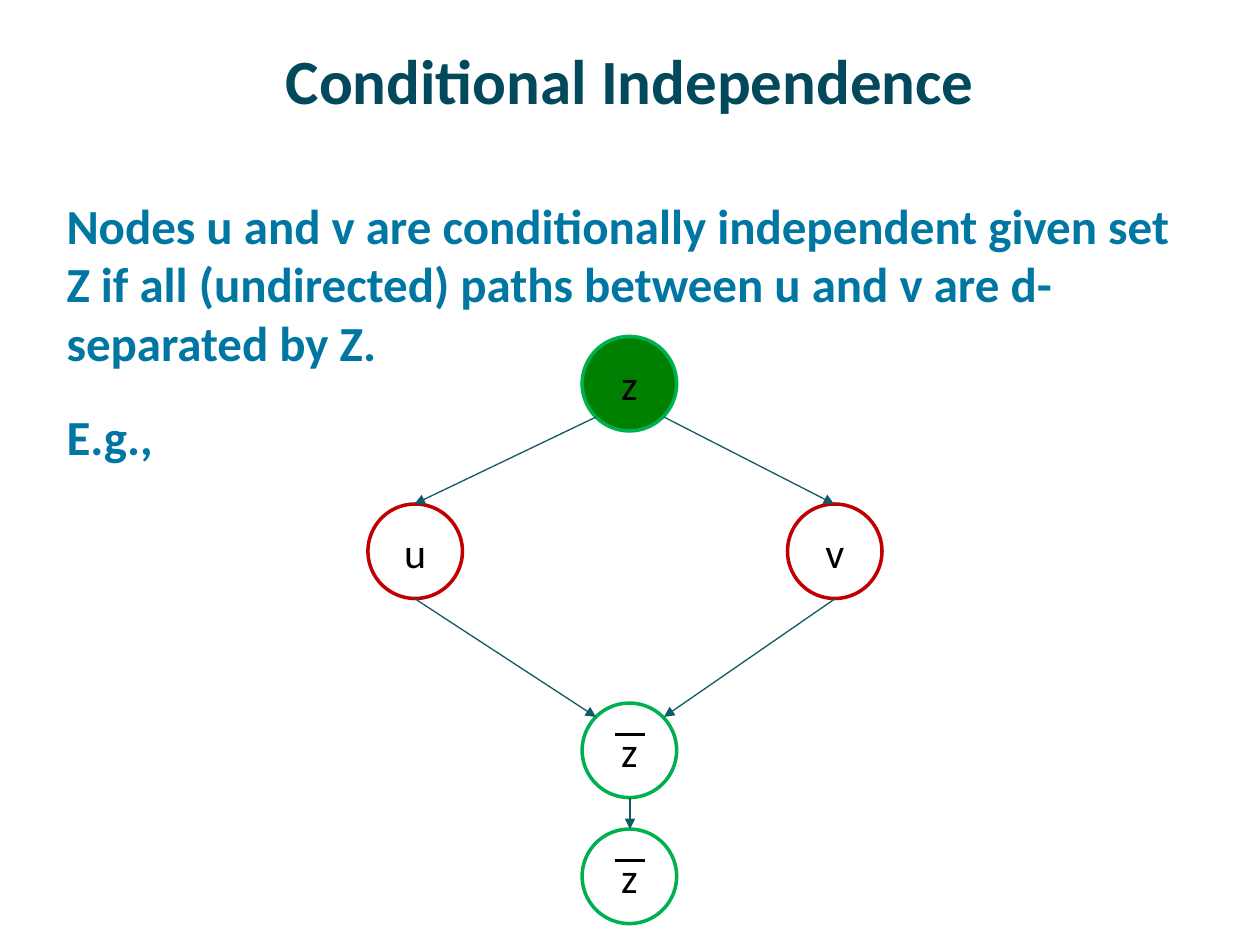
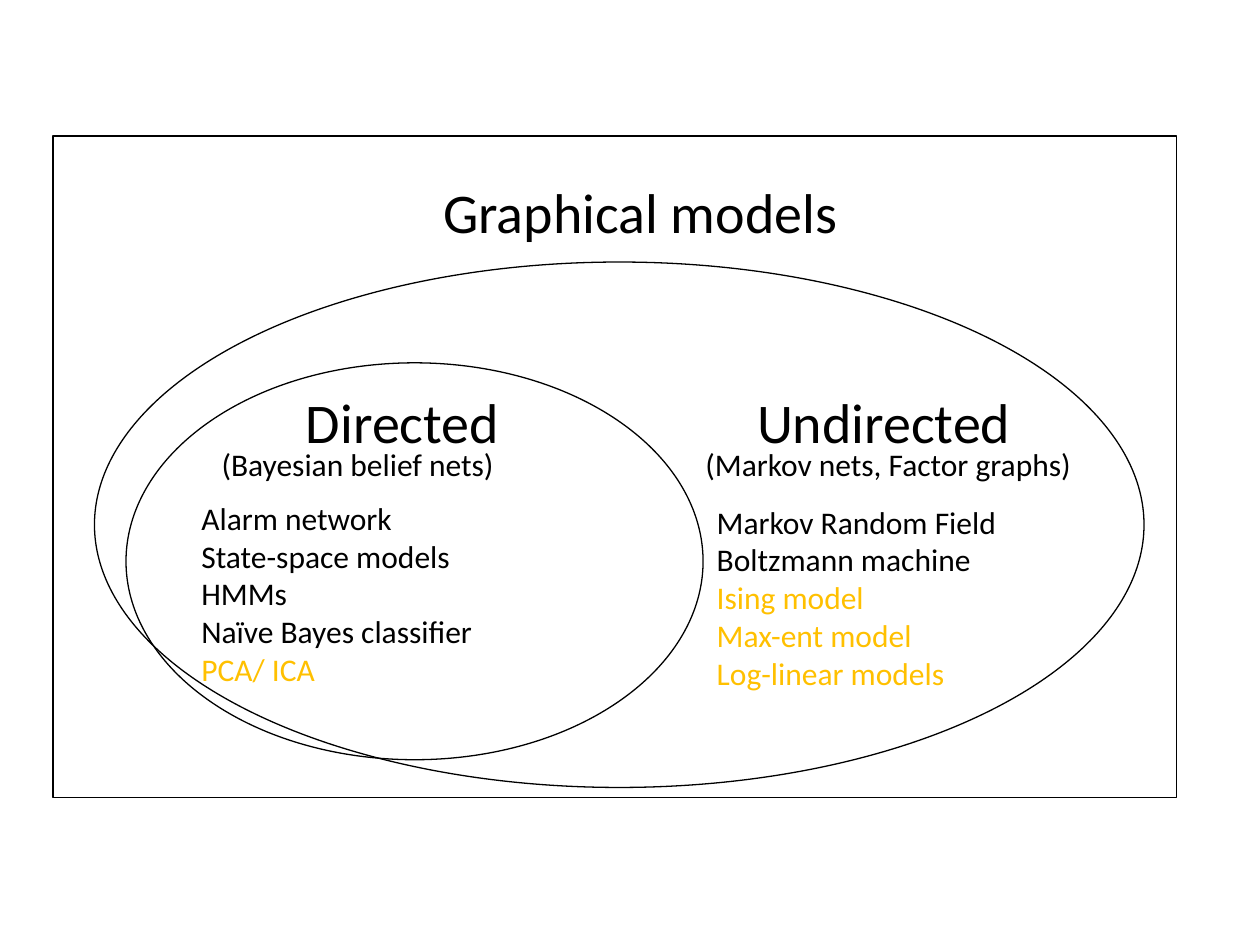
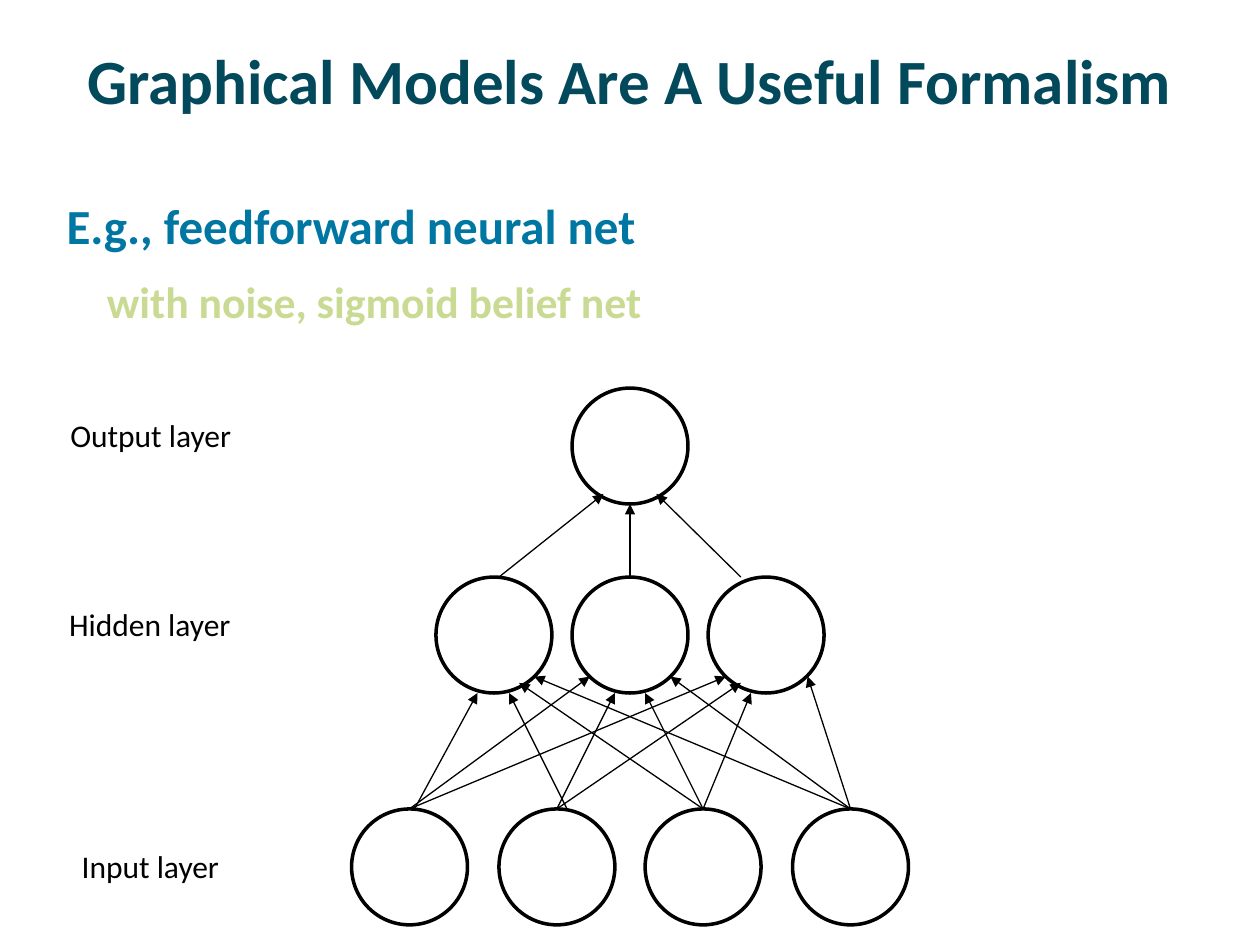
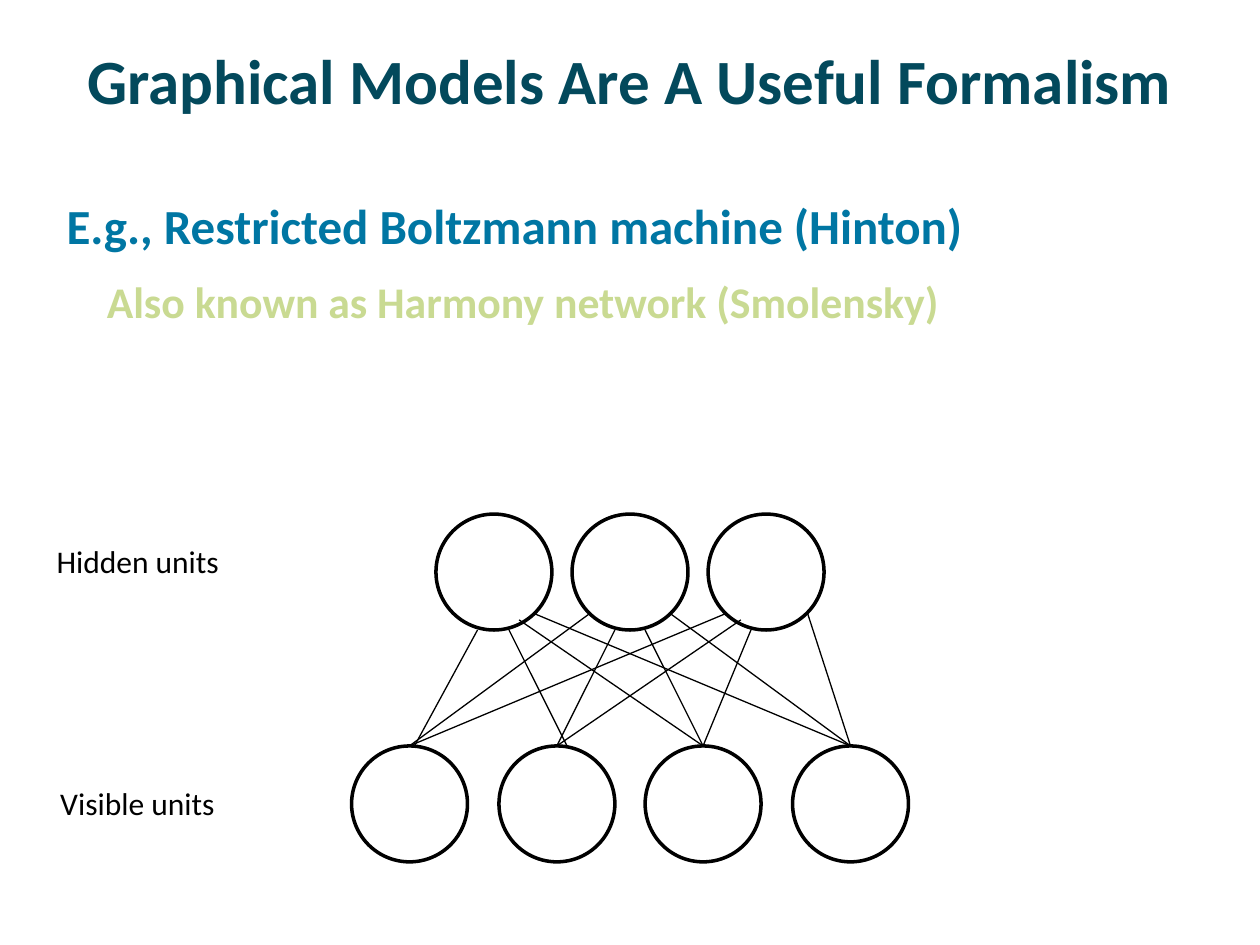
from lxml import etree
from pptx import Presentation
from pptx.dml.color import RGBColor
from pptx.enum.shapes import MSO_CONNECTOR, MSO_SHAPE
from pptx.enum.text import MSO_ANCHOR, MSO_AUTO_SIZE, PP_ALIGN
from pptx.oxml.ns import qn
from pptx.util import Pt

PX = 9144  # 100 px to the inch
FONT = "Calibri"
OVAL, RECT = MSO_SHAPE.OVAL, MSO_SHAPE.RECTANGLE
STRAIGHT = MSO_CONNECTOR.STRAIGHT
MID, TOP = MSO_ANCHOR.MIDDLE, MSO_ANCHOR.TOP
LEFT, CENTER = PP_ALIGN.LEFT, PP_ALIGN.CENTER
FIXED = MSO_AUTO_SIZE.NONE
INK = {name: RGBColor.from_string(code) for name, code in {
    "title": "03495C", "body": "0076A3", "sub": "C9DA92", "black": "000000",
    "red": "C00000", "green": "00B050", "given": "008000", "arrow": "115964",
    "gold": "FFC000"}.items()}

TITLE = dict(size=36, ink="title", bold=True, align=CENTER, anchor=MID, wrap=True)
BODY = dict(size=28, ink="body", bold=True, wrap=True, indent=10)
SUB = dict(size=25, ink="sub", indent=42, gap=11.9)
TITLE_BOX = (50, 17, 900, 92)
BODY_BOX = (33, 150, 917, 520)


def put(slide, box, lines=(), kind=None, edge="black", width=0.75, fill=None,
        anchor=TOP, wrap=False, **style):
    """Place a title, text box or shape; a line is text or (text, format)."""
    place = [n * PX for n in box]
    if kind == "title":
        item = slide.shapes.title
        item.left, item.top, item.width, item.height = place
    elif kind is None:
        item = slide.shapes.add_textbox(*place)
    else:
        item = slide.shapes.add_shape(kind, *place)
        item.shadow.inherit = False
        item.line.color.rgb = INK[edge]
        item.line.width = Pt(width)
        if fill:
            item.fill.solid()
            item.fill.fore_color.rgb = INK[fill]
        else:
            item.fill.background()
    frame = item.text_frame
    frame.auto_size = FIXED
    frame.word_wrap = wrap
    frame.vertical_anchor = anchor
    for i, line in enumerate(lines):
        text, extra = (line, {}) if isinstance(line, str) else line
        look = {"size": 18, "ink": "black", "bold": False, "align": LEFT,
                "indent": 0, "gap": 0, **style, **extra}
        para = frame.add_paragraph() if i else frame.paragraphs[0]
        para.alignment = look["align"]
        para.space_before = Pt(look["gap"] if i else 0)
        props = para._p.get_or_add_pPr()
        props.set("marL", str(look["indent"] * PX))
        props.set("indent", "0")
        run = para.add_run()
        run.text = text
        run.font.name, run.font.size = FONT, Pt(look["size"])
        run.font.bold = look["bold"]
        run.font.color.rgb = INK[look["ink"]]


def link(slide, ends, ink="black", width=0.75, arrow=True):
    """Draw a straight line, with an arrowhead at its end if asked."""
    wire = slide.shapes.add_connector(STRAIGHT, *[n * PX for n in ends])
    wire.line.color.rgb = INK[ink]
    wire.line.width = Pt(width)
    if arrow:
        etree.SubElement(wire.line._get_or_add_ln(), qn("a:tailEnd"), type="triangle")
    etree.SubElement(wire._element.spPr, qn("a:effectLst"))


deck = Presentation()
deck.slide_width, deck.slide_height = 1000 * PX, 750 * PX
titled, blank = deck.slide_layouts[5], deck.slide_layouts[6]

# Slide 1: conditional independence
slide = deck.slides.add_slide(titled)
put(slide, TITLE_BOX, ["Conditional Independence"], kind="title", **TITLE)
put(slide, BODY_BOX, [
    "Nodes u and v are conditionally independent given set Z if all "
    "(undirected) paths between u and v are d-separated by Z.",
    ("E.g.,", {"gap": 19.8})], **BODY)
for name, x, y, edge, fill in [
        ("u", 292, 400, "red", None), ("v", 625, 400, "red", None),
        ("z", 462, 267, "green", "given"),
        ("z", 462, 558, "green", None), ("z", 462, 658, "green", None)]:
    put(slide, (x, y, 75, 75), [name], kind=OVAL, edge=edge, width=2, fill=fill,
        anchor=MID, size=24, align=CENTER)
for ends in [(473, 331, 329, 400), (527, 331, 662, 400), (329, 475, 473, 569),
             (663, 475, 527, 569), (500, 633, 500, 658)]:
    link(slide, ends, ink="arrow")
for y in (583, 683):  # bars over z
    link(slide, (488, y, 512, y), width=1.5, arrow=False)

# Slide 2: families of graphical models
slide = deck.slides.add_slide(blank)
for kind, box in [(OVAL, (75, 208, 833, 417)), (OVAL, (100, 288, 458, 315)),
                  (RECT, (42, 108, 892, 525))]:
    put(slide, box, kind=kind)
for text, box in [("Directed", (233, 303, 179, 64)),
                  ("Undirected", (591, 303, 229, 64)),
                  ("Graphical models", (342, 136, 344, 64))]:
    put(slide, box, [text], size=32)
gold = {"ink": "gold"}
put(slide, (150, 391, 240, 163), [
    "Alarm network", "State-space models", "HMMs", "Naïve Bayes classifier",
    ("PCA/ ICA", gold)])
put(slide, (559, 394, 247, 163), [
    "Markov Random Field", "Boltzmann machine", ("Ising model", gold),
    ("Max-ent model", gold), ("Log-linear models", gold)])
put(slide, (166, 348, 241, 41), ["(Bayesian belief nets)"])
put(slide, (550, 348, 313, 41), ["(Markov nets, Factor graphs)"])

# Slides 3 and 4: layered nets
DISC = 92
# lower x, upper x, and drop of the upper end below the hidden row's top
WIRES = [(675, 532, 79), (558, 512, 92), (442, 488, 92), (325, 468, 79),
         (675, 641, 79), (558, 596, 92), (442, 588, 84), (325, 576, 79),
         (675, 424, 79), (450, 404, 92), (329, 379, 92), (558, 412, 84)]
nets = [
    ("E.g., feedforward neural net", "with noise, sigmoid belief net", 458, True,
     [("Hidden layer", 45, 475, 151), ("Input layer", 55, 667, 131),
      ("Output layer", 46, 325, 150)]),
    ("E.g., Restricted Boltzmann machine (Hinton)",
     "Also known as Harmony network (Smolensky)", 408, False,
     [("Hidden units", 35, 425, 151), ("Visible units", 38, 617, 144)])]
for head, sub, top, arrow, labels in nets:
    slide = deck.slides.add_slide(titled)
    put(slide, TITLE_BOX, ["Graphical Models Are A Useful Formalism"],
        kind="title", **TITLE)
    put(slide, BODY_BOX, [head, (sub, SUB)], **BODY)
    base = top + 184
    discs = [(346 + 108 * i, top) for i in range(3)]
    discs += [(279 + round(350 * i / 3), base) for i in range(4)]
    if arrow:  # only the feedforward net has an output
        discs.append((454, top - 150))
        for ends in [(588, top, 521, 392), (500, top, 500, 400),
                     (396, top, 479, 392)]:
            link(slide, ends)
    for x, y in discs:
        put(slide, (x, y, DISC, DISC), kind=OVAL, width=2)
    for low, high, drop in WIRES:
        link(slide, (low, base, high, top + drop), arrow=arrow)
    for text, x, y, wide in labels:
        put(slide, (x, y, wide, 40), [text])

deck.save("out.pptx")
